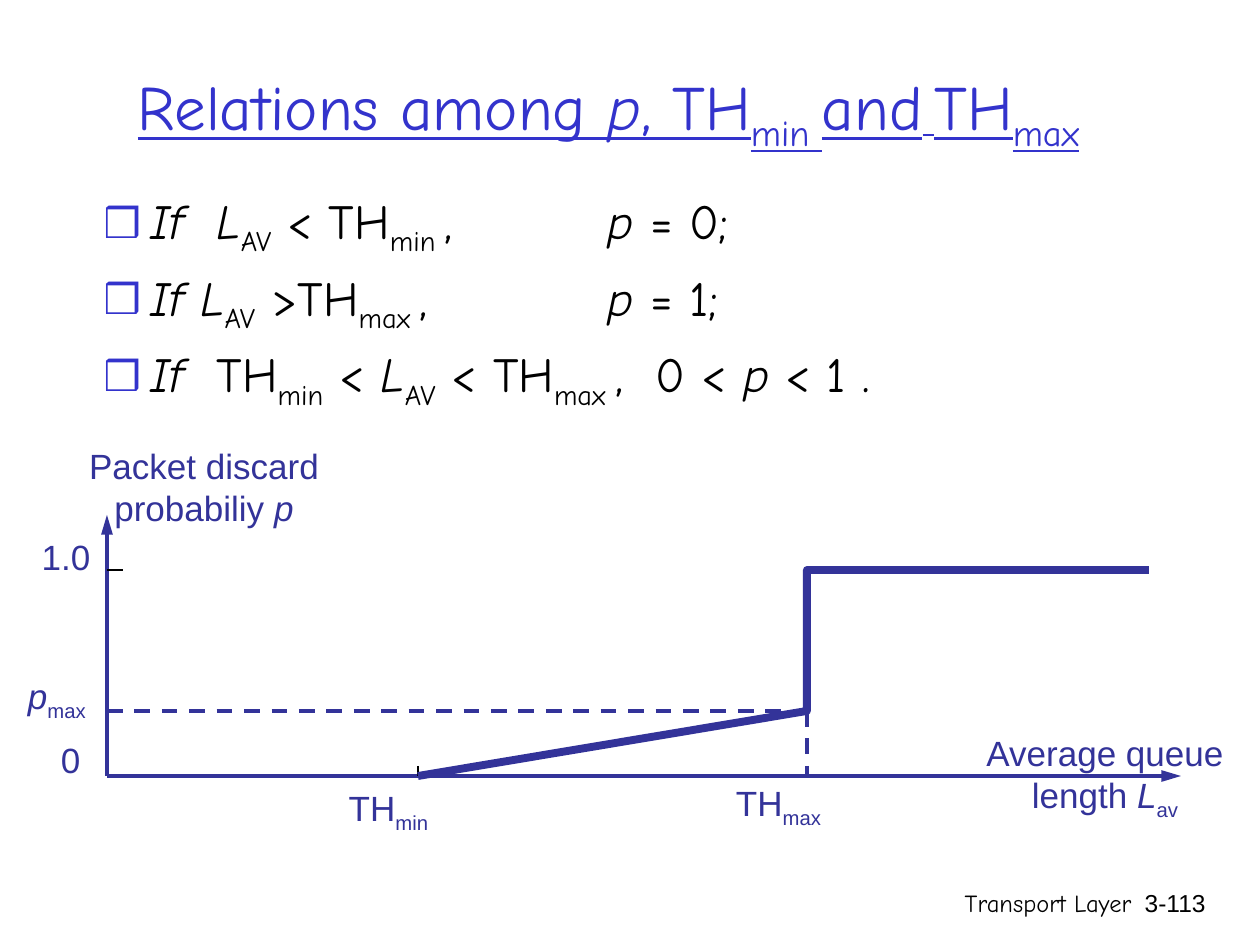
"""Build a slide relating discard probability p to the queue thresholds."""
from lxml import etree
from pptx import Presentation
from pptx import util as u
from pptx.dml.color import RGBColor
from pptx.enum import dml, shapes, text
from pptx.oxml.ns import qn

PX = 914400 / 126
COLORS = {"title": "3333CC", "graph": "333399", "black": "000000"}


def write_runs(paragraph, runs, size, font, color):
    """Add (wording, style) runs; style holds i for italic, _ for subscript, s for small."""
    for wording, style in runs:
        run = paragraph.add_run()
        run.text = wording
        run.font.size = u.Pt(20 if "s" in style else size)
        run.font.name = font
        run.font.color.rgb = RGBColor.from_string(COLORS[color])
        run.font.italic = "i" in style
        if "_" in style:
            run.font._element.set("baseline", "-25000")


def place(shape, box):
    """Move a shape to a left, top, width, height box in px."""
    shape.left, shape.top, shape.width, shape.height = [u.Emu(round(n * PX)) for n in box]


presentation = Presentation()
presentation.slide_width, presentation.slide_height = u.Inches(10), u.Inches(7.5)
slide = presentation.slides.add_slide(presentation.slide_layouts[1])

title = slide.shapes.title
place(title, (73, 32, 1071, 157))
title.text_frame.auto_size = text.MSO_AUTO_SIZE.NONE
title.text_frame.vertical_anchor = text.MSO_ANCHOR.MIDDLE
heading = title.text_frame.paragraphs[0]
heading.alignment = text.PP_ALIGN.CENTER
write_runs(heading, [("Relations among ", ""), ("p", "i"), (", TH", ""), ("min ", "_"), ("and", ""),
                     (" ", "s"), ("TH", ""), ("max", "_")], 36, "Comic Neue", "title")
for run in heading.runs:
    run.font.underline = True

rules = [
    [("If  L", "i"), ("AV", "_"), (" < TH", ""), ("min ", "_"), (",\t", ""), ("p", "i"), (" = 0;", "")],
    [("If L", "i"), ("AV", "_"), (" >TH", ""), ("max ", "_"), (",\t", ""), ("p", "i"), (" = 1;", "")],
    [("If  ", "i"), ("TH", ""), ("min", "_"), (" < ", ""), ("L", "i"), ("AV", "_"), (" < TH", ""),
     ("max ", "_"), (",  0 < ", ""), ("p ", "i"), ("< 1 .", "")],
]
body = slide.placeholders[1]
place(body, (91, 184, 1071, 243))
body.text_frame.auto_size = text.MSO_AUTO_SIZE.NONE
indent = round(47 * PX)
for index, runs in enumerate(rules):
    paragraph = body.text_frame.paragraphs[0] if index == 0 else body.text_frame.add_paragraph()
    properties = paragraph._p.get_or_add_pPr()
    properties.set("marL", str(indent))
    properties.set("indent", str(-indent))
    bullet_color = etree.SubElement(properties, qn("a:buClr"))
    etree.SubElement(bullet_color, qn("a:srgbClr"), val=COLORS["title"])
    etree.SubElement(properties, qn("a:buSzPct"), val="85000")
    etree.SubElement(properties, qn("a:buChar"), char="❒")
    tabs = etree.SubElement(properties, qn("a:tabLst"))
    etree.SubElement(tabs, qn("a:tab"), pos=str(u.Inches(4)), algn="l")
    paragraph.space_before = u.Pt(5.6 if index else 0)
    write_runs(paragraph, runs, 28, "Comic Neue", "black")

left, right, top, bottom = 107, 1181, 515, 776
th_min, th_max, p_max, p_one = 418, 807, 711, 570
lines = [
    ("axis", left, bottom, right, bottom, "graph", 2.25),
    ("axis", left, bottom, left, top, "graph", 2.25),
    ("guide", th_max, p_max, th_max, bottom, "graph", 2.25),
    ("guide", left, p_max, th_max, p_max, "graph", 2.25),
    ("tick", th_min, bottom - 10, th_min, bottom, "black", 0.75),
    ("tick", left, p_one, left + 16, p_one, "black", 0.75),
]
for role, x1, y1, x2, y2, color, width in lines:
    ends = [u.Emu(round(n * PX)) for n in (x1, y1, x2, y2)]
    connector = slide.shapes.add_connector(shapes.MSO_CONNECTOR.STRAIGHT, *ends)
    connector.line.color.rgb = RGBColor.from_string(COLORS[color])
    connector.line.width = u.Pt(width)
    if role == "guide":
        connector.line.dash_style = dml.MSO_LINE.DASH
    if role == "axis":
        etree.SubElement(connector.line._get_or_add_ln(), qn("a:tailEnd"), type="triangle", w="med", len="lg")
    etree.SubElement(connector._element.spPr, qn("a:effectLst"))

builder = slide.shapes.build_freeform(th_min, bottom, scale=PX)
builder.add_line_segments([(th_max, p_max), (th_max, p_one), (1149, p_one)], close=False)
curve = builder.convert_to_shape()
curve.shadow.inherit = False
curve.fill.background()
curve.line.color.rgb = RGBColor.from_string(COLORS["graph"])
curve.line.width = u.Pt(4.5)
etree.SubElement(curve.line._get_or_add_ln(), qn("a:round"))

center, flush_right = text.PP_ALIGN.CENTER, text.PP_ALIGN.RIGHT
graph_style, footer_style = (20, "Arial", "graph"), (14, "Comic Neue", "black")
labels = [
    ((333, 780, 111, 55), [("TH", ""), ("min", "_")], False, center, graph_style),
    ((720, 775, 117, 55), [("TH", ""), ("max", "_")], False, center, graph_style),
    ((957, 725, 296, 97), [("Average queue length ", ""), ("L", "i"), ("av", "_")], True, center, graph_style),
    ((12, 438, 384, 97), [("Packet discard probabiliy ", ""), ("p", "i")], True, center, graph_style),
    ((29, 529, 74, 54), [("1.0", "")], False, center, graph_style),
    ((48, 732, 45, 54), [("0", "")], False, center, graph_style),
    ((13, 668, 88, 54), [("p", "i"), ("max", "_")], False, center, graph_style),
    ((745, 882, 399, 62), [("Transport Layer", "")], True, flush_right, footer_style),
    ((1125, 882, 93, 62), [("3-113", "")], True, flush_right, (14, "Arial", "black")),
]
for box, runs, wrap, alignment, style in labels:
    label = slide.shapes.add_textbox(0, 0, 0, 0)
    place(label, box)
    label.text_frame.word_wrap = wrap
    label.text_frame.paragraphs[0].alignment = alignment
    write_runs(label.text_frame.paragraphs[0], runs, *style)

presentation.save("out.pptx")
